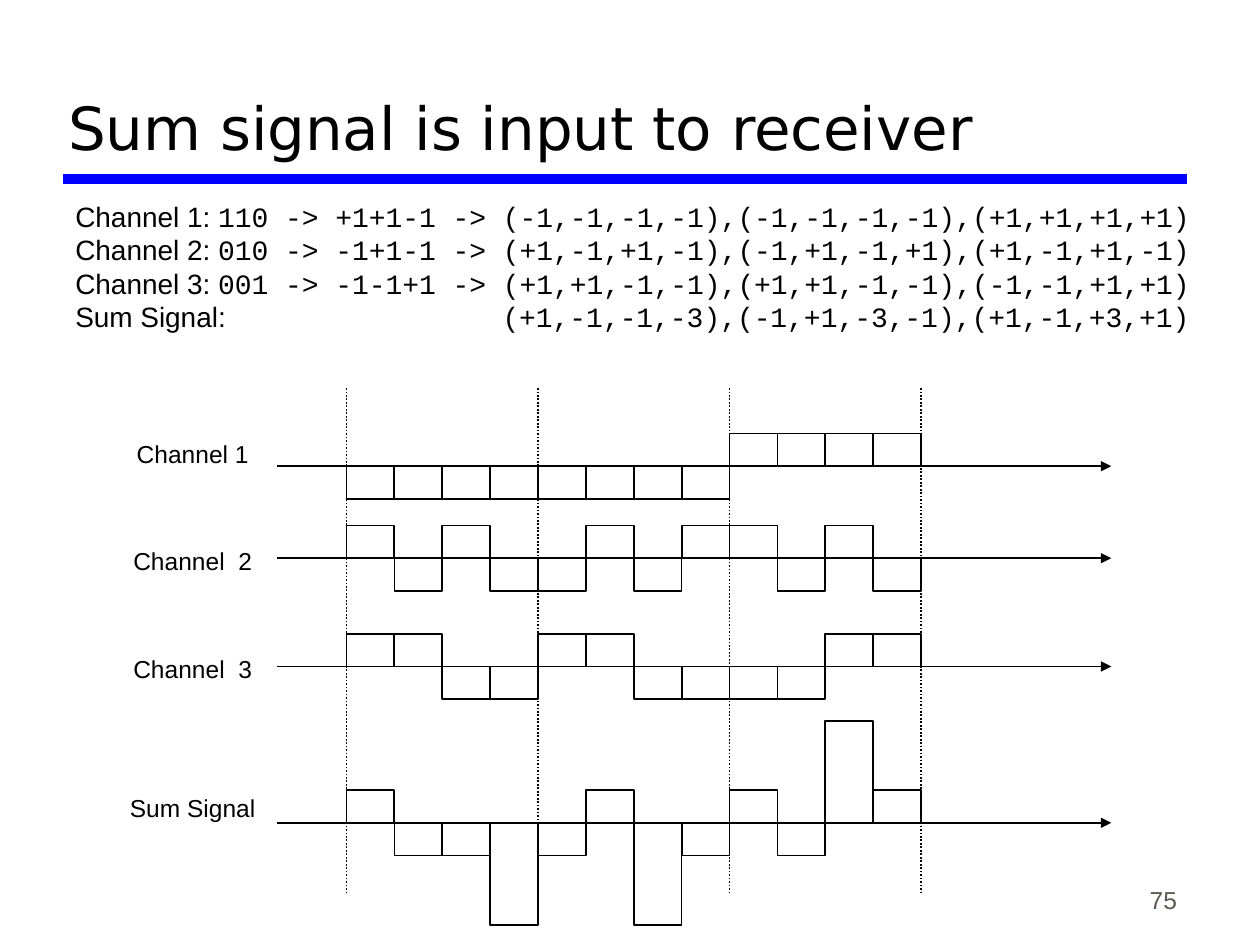
"""Build the slide showing three coded channels and their sum signal."""
from lxml import etree
from pptx import Presentation
from pptx import util as u
from pptx.dml.color import RGBColor
from pptx.enum import dml, shapes, text
from pptx.oxml.ns import qn

BLACK = RGBColor(0x00, 0x00, 0x00)
WHITE = RGBColor(0xFF, 0xFF, 0xFF)
BLUE = RGBColor(0x00, 0x00, 0xFF)
GREY = RGBColor(0x5E, 0x57, 0x4E)

X0, COL = 2.75, 0.38
CHIPS = 4
HEIGHT = {1: 0.26, 3: 0.81}
CODES = [
    ("Channel 1: ", "110 -> +1+1-1 -> (-1,-1,-1,-1),(-1,-1,-1,-1),(+1,+1,+1,+1)"),
    ("Channel 2: ", "010 -> -1+1-1 -> (+1,-1,+1,-1),(-1,+1,-1,+1),(+1,-1,+1,-1)"),
    ("Channel 3: ", "001 -> -1-1+1 -> (+1,+1,-1,-1),(+1,+1,-1,-1),(-1,-1,+1,+1)"),
    ("Sum Signal:\t", "(+1,-1,-1,-3),(-1,+1,-3,-1),(+1,-1,+3,+1)"),
]
SIGNALS = [
    ("Channel 1", 3.70, 3.60, [-1] * 8 + [1] * 4),
    ("Channel  2", 4.43, 4.45, [1, -1, 1, -1, -1, 1, -1, 1, 1, -1, 1, -1]),
    ("Channel  3", 5.29, 5.31, [1, 1, -1, -1, 1, 1, -1, -1, -1, -1, 1, 1]),
    ("Sum Signal", 6.53, 6.41, [1, -1, -1, -3, -1, 1, -3, -1, 1, -1, 3, 1]),
]

prs = Presentation()
prs.slide_width, prs.slide_height = u.Inches(10), u.Inches(7.5)
s = prs.slides.add_slide(prs.slide_layouts[5])


def add_line(x1, y1, x2, y2, color=BLACK, width=1):
    ends = [u.Inches(v) for v in (x1, y1, x2, y2)]
    c = s.shapes.add_connector(shapes.MSO_CONNECTOR.STRAIGHT, *ends)
    c.line.color.rgb, c.line.width = color, u.Pt(width)
    etree.SubElement(c._element.spPr, qn("a:effectLst"))
    return c


def write(sp, box, paragraphs, anchor, align, size, color=BLACK, wrap=True):
    sp.left, sp.top, sp.width, sp.height = [u.Inches(v) for v in box]
    tf = sp.text_frame
    frame = {"auto_size": text.MSO_AUTO_SIZE.NONE, "word_wrap": wrap, "vertical_anchor": anchor}
    for name, value in frame.items():
        setattr(tf, name, value)
    for i, runs in enumerate(paragraphs):
        p = tf.add_paragraph() if i else tf.paragraphs[0]
        p.alignment = align
        for words, face in runs:
            r = p.add_run()
            r.text = words
            for name, value in {"name": face, "size": u.Pt(size)}.items():
                setattr(r.font, name, value)
            r.font.color.rgb = color
    return tf


LEFT, CENTER, RIGHT = text.PP_ALIGN.LEFT, text.PP_ALIGN.CENTER, text.PP_ALIGN.RIGHT
MIDDLE, BOTTOM = text.MSO_ANCHOR.MIDDLE, text.MSO_ANCHOR.BOTTOM

add_line(0.5, 1.42, 9.42, 1.42, BLUE, 6)
write(s.shapes.title, (0.44, 0.17, 8.97, 1.17),
      [[("Sum signal is input to receiver", "DejaVu Sans")]], BOTTOM, LEFT, 34)
write(s.shapes.add_textbox(0, 0, 0, 0), (7.36, 6.81, 2.08, 0.5),
      [[("75", "Arial")]], BOTTOM, RIGHT, 14, GREY)

tf = write(s.shapes.add_textbox(0, 0, 0, 0), (0.5, 1.53, 9.13, 1.17),
           [[(label, "Arial"), (code, "Courier New")] for label, code in CODES],
           MIDDLE, LEFT, 16)
tabs = etree.SubElement(tf.paragraphs[-1]._p.get_or_add_pPr(), qn("a:tabLst"))
etree.SubElement(tabs, qn("a:tab"), pos=str(u.Inches(3.39)), algn="l")

for label, base, middle, values in SIGNALS:
    axis = add_line(2.2, base, 8.82, base)
    etree.SubElement(axis.line._get_or_add_ln(), qn("a:tailEnd"), type="triangle")
    for i, value in enumerate(values):
        h = HEIGHT[abs(value)]
        top = base - h if value > 0 else base
        box = [u.Inches(v) for v in (X0 + i * COL, top, COL, h)]
        sp = s.shapes.add_shape(shapes.MSO_SHAPE.RECTANGLE, *box)
        sp.shadow.inherit = False
        sp.fill.solid()
        sp.fill.fore_color.rgb = WHITE
        sp.line.color.rgb, sp.line.width = BLACK, u.Pt(1)
    write(s.shapes.add_textbox(0, 0, 0, 0), (0.96, middle - 0.17, 1.14, 0.34),
          [[(label, "Arial")]], MIDDLE, CENTER, 14, wrap=False)

for i in range(4):
    x = X0 + i * CHIPS * COL
    add_line(x, 3.08, x, 7.1).line.dash_style = dml.MSO_LINE.ROUND_DOT

prs.save("out.pptx")
